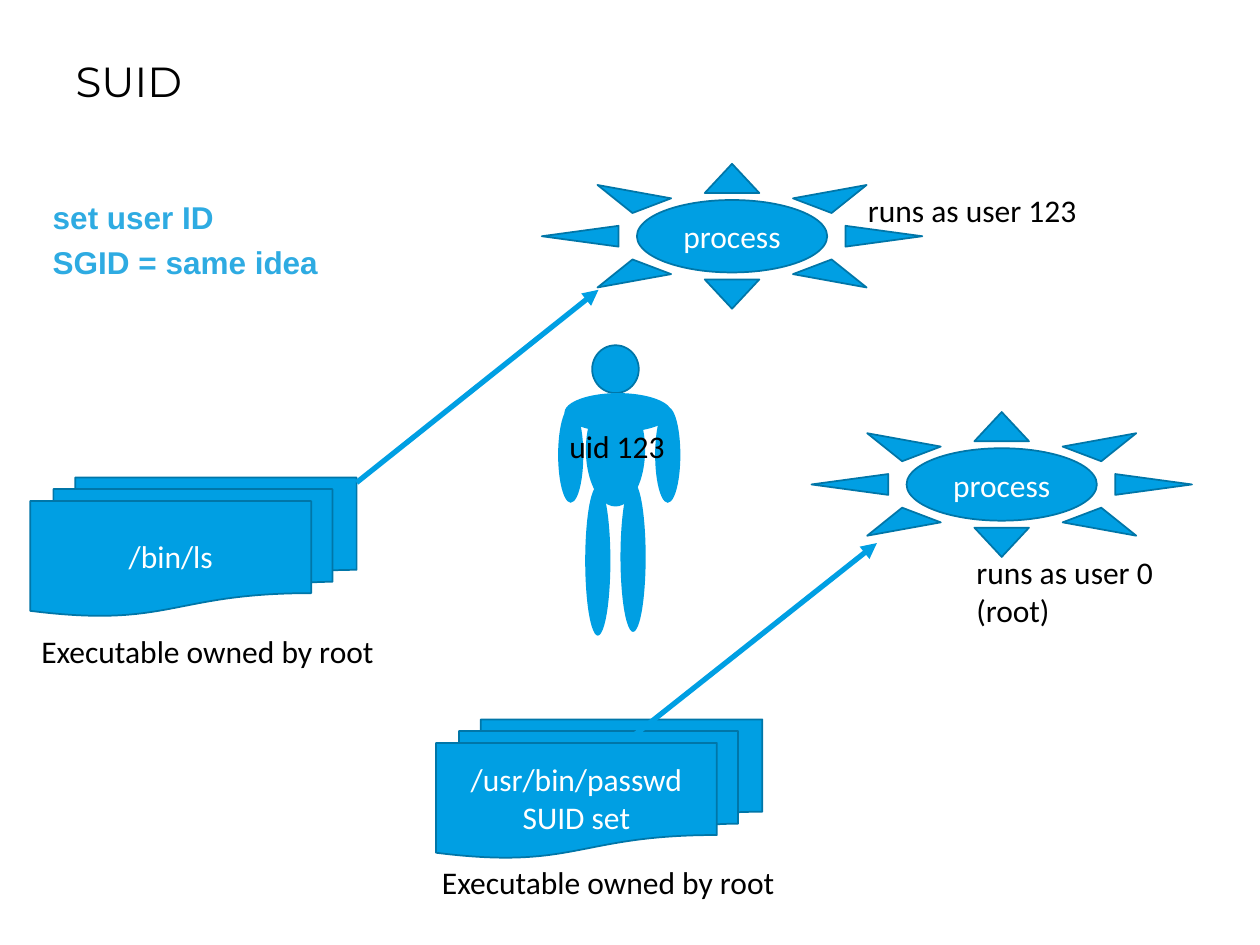
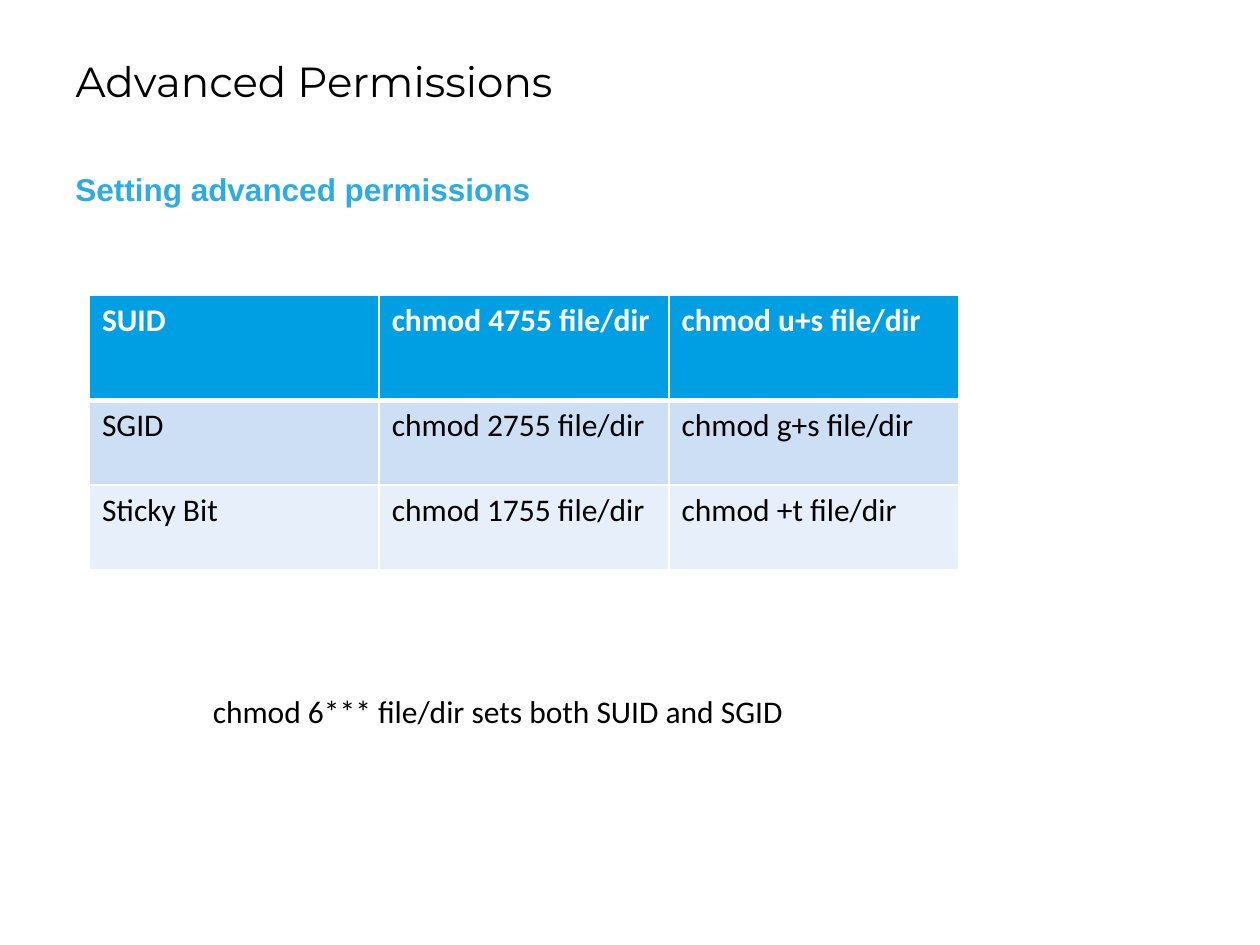
import pptx
import pptx.util
import pptx.dml.color
import pptx.enum.shapes
import pptx.enum.text
import pptx.oxml.ns
import lxml.etree

Inches = pptx.util.Inches
Pt = pptx.util.Pt
RGB = pptx.dml.color.RGBColor.from_string
Shape = pptx.enum.shapes.MSO_SHAPE
Anchor = pptx.enum.text.MSO_ANCHOR
Align = pptx.enum.text.PP_ALIGN
qn = pptx.oxml.ns.qn

COLORS = {
    "fill": "009FE3",
    "outline": "0076A8",
    "heading": "2EABE2",
    "text": "000000",
    "white": "FFFFFF",
    "band_dark": "CCDFF4",
    "band_light": "E7F0FA",
}


def write(frame, text, color="text", font="Calibri", size=18, bold=False,
          align=Align.LEFT, anchor=Anchor.TOP, after=0, wrap=True):
    frame.text = text
    frame.word_wrap = wrap
    frame.vertical_anchor = anchor
    for para in frame.paragraphs:
        para.alignment = align
        para.space_after = Pt(after)
        for span in para.runs:
            span.font.name = font
            span.font.size = Pt(size)
            span.font.bold = bold
            span.font.color.rgb = RGB(COLORS[color])


def add_blue_shape(shapes, kind, place, text="", outlined=True):
    shape = shapes.add_shape(kind, *map(Inches, place))
    shape.shadow.inherit = False
    shape.fill.solid()
    shape.fill.fore_color.rgb = RGB(COLORS["fill"])
    if outlined:
        shape.line.color.rgb = RGB(COLORS["outline"])
        shape.line.width = Pt(1)
    else:
        shape.line.fill.background()
    if text:
        write(shape.text_frame, text, "white", align=Align.CENTER, anchor=Anchor.MIDDLE)
    return shape


deck = pptx.Presentation()
deck.slide_width, deck.slide_height = Inches(10), Inches(7.5)

pages = []
for title, subtitle, place in [
    ("SUID", "set user ID\nSGID = same idea", (0.32, 1.52, 2.65, 0.78)),
    ("Advanced Permissions", "Setting advanced permissions", (0.5, 1.3, 9.02, 0.4)),
]:
    page = deck.slides.add_slide(deck.slide_layouts[5])
    heading = page.shapes.title
    heading.left, heading.top = Inches(0.5), Inches(0.39)
    heading.width, heading.height = Inches(9.02), Inches(0.5)
    write(heading.text_frame, title, font="Montserrat", size=24)
    box = page.shapes.add_textbox(*map(Inches, place))
    write(box.text_frame, subtitle, "heading", "Arial", bold=True, after=4.5)
    pages.append(page)
suid_page, permissions_page = pages

for left, top, text in [(0.24, 3.79, "/bin/ls"), (3.46, 5.71, "/usr/bin/passwd\nSUID set")]:
    add_blue_shape(suid_page.shapes, Shape.FLOWCHART_MULTIDOCUMENT, (left, top, 2.59, 1.1), text)

for left, top in [(4.3, 1.3), (6.44, 3.27)]:
    add_blue_shape(suid_page.shapes, Shape.SUN, (left, top, 3.02, 1.15), "process")

person = suid_page.shapes.add_group_shape()
add_blue_shape(person.shapes, Shape.OVAL, (4.7, 2.74, 0.37, 0.38))
for place, rotation in [
    ((4.65, 3.12, 0.47, 0.9), 0),
    ((4.48, 3.12, 0.85, 0.31), 0),
    ((4.15, 3.51, 0.76, 0.2), 270),
    ((4.92, 3.51, 0.76, 0.2), 270),
    ((4.15, 4.35, 1.19, 0.2), 270),
    ((4.43, 4.32, 1.19, 0.2), 270),
]:
    limb = add_blue_shape(person.shapes, Shape.OVAL, place, outlined=False)
    limb.rotation = rotation

for shapes, place, text in [
    (person.shapes, (4.42, 3.34, 0.97, 0.4), "uid 123"),
    (suid_page.shapes, (0.23, 4.97, 2.87, 0.4), "Executable owned by root"),
    (suid_page.shapes, (3.41, 6.8, 2.87, 0.4), "Executable owned by root"),
    (suid_page.shapes, (6.79, 1.47, 1.88, 0.4), "runs as user 123"),
    (suid_page.shapes, (7.65, 4.34, 1.62, 0.71), "runs as user 0\n(root)"),
    (permissions_page.shapes, (1.59, 5.44, 4.75, 0.4),
     "chmod 6*** file/dir sets both SUID and SGID"),
]:
    label = shapes.add_textbox(*map(Inches, place))
    write(label.text_frame, text, wrap=False)

for ends in [(2.83, 3.83, 4.75, 2.3), (5.04, 5.83, 6.96, 4.31)]:
    arrow = suid_page.shapes.add_connector(
        pptx.enum.shapes.MSO_CONNECTOR.STRAIGHT, *map(Inches, ends))
    arrow.line.color.rgb = RGB(COLORS["fill"])
    arrow.line.width = Pt(3)
    lxml.etree.SubElement(arrow.line._get_or_add_ln(), qn("a:tailEnd"), type="triangle")
    lxml.etree.SubElement(arrow._element.spPr, qn("a:effectLst"))

commands = [
    ("SUID", "chmod 4755 file/dir", "chmod u+s file/dir"),
    ("SGID", "chmod 2755 file/dir", "chmod g+s file/dir"),
    ("Sticky Bit", "chmod 1755 file/dir", "chmod +t file/dir"),
]
row_heights = [0.84, 0.67, 0.67]
row_fills = ["fill", "band_dark", "band_light"]
table = permissions_page.shapes.add_table(
    3, 3, *map(Inches, (0.71, 2.34, 6.9, sum(row_heights)))).table
for column in table.columns:
    column.width = Inches(2.3)
for row_index, texts in enumerate(commands):
    table.rows[row_index].height = Inches(row_heights[row_index])
    is_header = row_index == 0
    for column_index, text in enumerate(texts):
        cell = table.cell(row_index, column_index)
        write(cell.text_frame, text, "white" if is_header else "text", bold=is_header)
        borders = {"L": 1, "R": 1, "T": 3 if row_index == 1 else 1, "B": 3 if is_header else 1}
        properties = cell._tc.get_or_add_tcPr()
        for side, width in borders.items():
            border = lxml.etree.SubElement(properties, qn(f"a:ln{side}"), w=str(Pt(width)))
            solid = lxml.etree.SubElement(border, qn("a:solidFill"))
            lxml.etree.SubElement(solid, qn("a:srgbClr"), val=COLORS["white"])
        cell.fill.solid()
        cell.fill.fore_color.rgb = RGB(COLORS[row_fills[row_index]])

deck.save("out.pptx")
